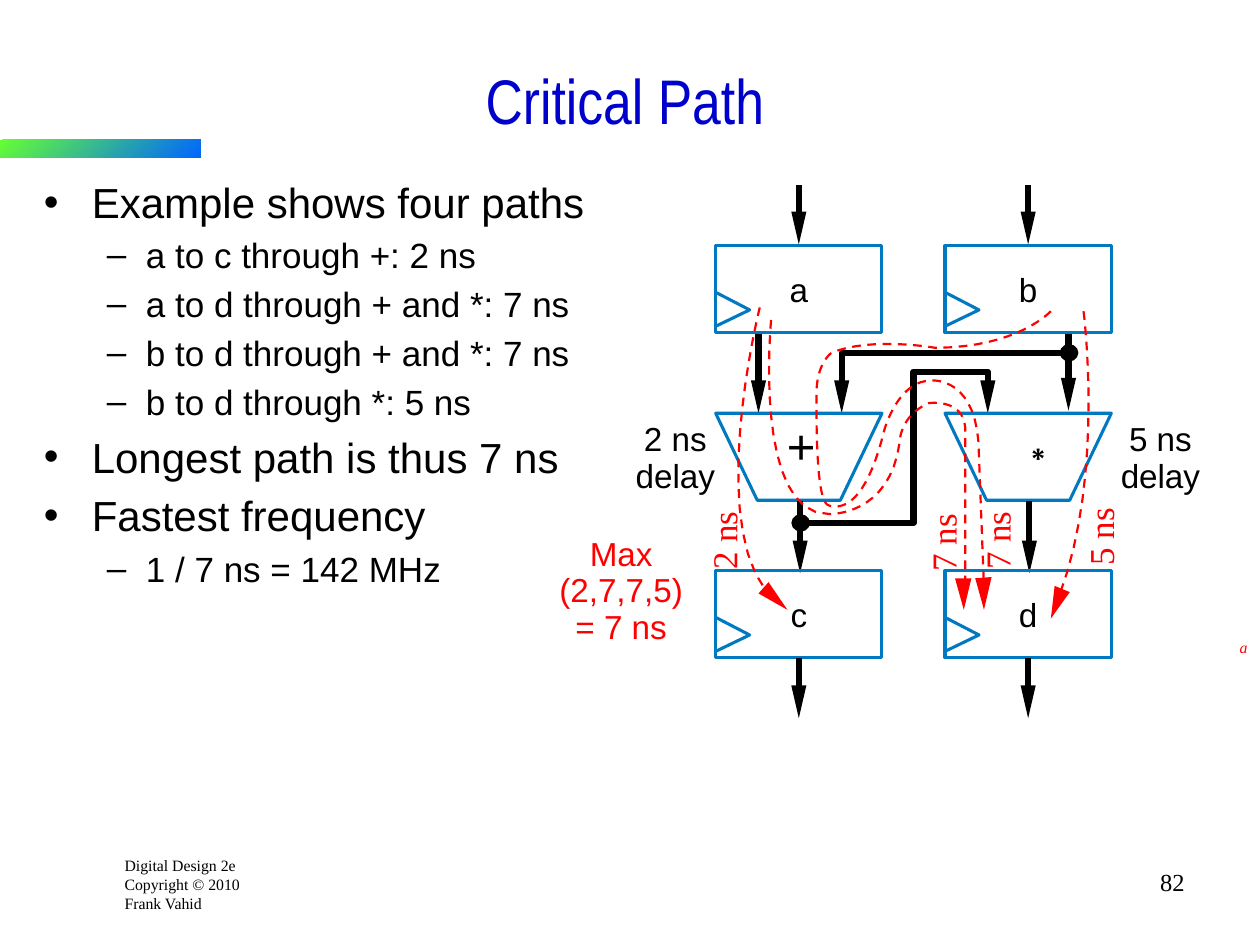
from dataclasses import dataclass

from lxml.etree import SubElement
from pptx import Presentation
from pptx.dml.color import RGBColor
from pptx.enum.dml import MSO_LINE
from pptx.enum.shapes import MSO_CONNECTOR, MSO_SHAPE
from pptx.enum.text import MSO_ANCHOR, PP_ALIGN
from pptx.oxml.ns import qn
from pptx.slide import Slide
from pptx.util import Inches, Pt


def rgb(value):
    """Turn a hex string into a colour."""
    return RGBColor.from_string(value)


def write(paragraph, text, size=19, color="000000", font="Arial", align=PP_ALIGN.LEFT, italic=None):
    """Add formatted text to a paragraph."""
    paragraph.alignment = align
    paragraph.font.size = Pt(size)
    run = paragraph.add_run()
    run.text = text
    run.font.size = Pt(size)
    run.font.name = font
    run.font.italic = italic
    run.font.color.rgb = rgb(color)


def bezier(start, curves, steps=16):
    """Sample a chain of cubic curves as points."""
    points = [start]
    for c1, c2, end in curves:
        first = points[-1]
        for t in (i / steps for i in range(1, steps + 1)):
            u = 1 - t
            weights = (u**3, 3 * u * u * t, 3 * u * t * t, t**3)
            points.append(tuple(sum(w * p[axis] for w, p in zip(weights, (first, c1, c2, end)))
                                for axis in (0, 1)))
    return points


@dataclass
class Diagram:
    """Draw the parts of a datapath on one slide."""

    slide: Slide
    ink: str = "000000"
    outline: str = "0079C1"
    accent: str = "FF0000"
    serif: str = "Times New Roman"
    width: float = 1.32
    height: float = 0.69

    def paint(self, shape, fill=None, line=None, weight=1.75):
        """Set the fill and line of a shape."""
        shape.shadow.inherit = False
        if fill:
            shape.fill.solid()
            shape.fill.fore_color.rgb = rgb(fill)
        else:
            shape.fill.background()
        if line:
            shape.line.color.rgb = rgb(line)
            shape.line.width = Pt(weight)
        else:
            shape.line.fill.background()
        return shape

    def box(self, x, y, w, h, lines, wrap=True, inset=True, rotation=0,
            anchor=MSO_ANCHOR.TOP, **style):
        """Add a text box with one paragraph for each line."""
        shape = self.slide.shapes.add_textbox(Inches(x), Inches(y), Inches(w), Inches(h))
        shape.rotation = rotation
        frame = shape.text_frame
        frame.word_wrap = wrap
        frame.vertical_anchor = anchor
        if not inset:
            frame.margin_left = frame.margin_right = frame.margin_top = frame.margin_bottom = 0
        for i, line in enumerate(lines):
            write(frame.add_paragraph() if i else frame.paragraphs[0], line, **style)

    def label(self, text, center, y, w=0.5, h=0.32, **style):
        """Add a line of text centred on a point."""
        self.box(center - w / 2, y, w, h, [text], wrap=False, inset=False,
                 align=PP_ALIGN.CENTER, **style)

    def outline_list(self, x, y, w, h, items):
        """Add a two-level bulleted list."""
        frame = self.slide.shapes.add_textbox(Inches(x), Inches(y), Inches(w), Inches(h)).text_frame
        frame.word_wrap = True
        frame.margin_top = Inches(0.07)
        for i, (level, text) in enumerate(items):
            paragraph = frame.add_paragraph() if i else frame.paragraphs[0]
            bullet, margin, hang, size = (("•", 0.38, 0.38, 24), ("–", 0.81, 0.31, 20))[level]
            paragraph.level = level
            properties = paragraph._p.get_or_add_pPr()
            properties.set("marL", str(Inches(margin)))
            properties.set("indent", str(-Inches(hang)))
            SubElement(properties, qn("a:buFont")).set("typeface", "Arial")
            SubElement(properties, qn("a:buChar")).set("char", bullet)
            paragraph.space_before = Pt(size * 0.2 if i else 0)
            write(paragraph, text, size=size)

    def freeform(self, points, close=False, **look):
        """Add an outline through points."""
        start, *rest = [(Inches(x), Inches(y)) for x, y in points]
        builder = self.slide.shapes.build_freeform(*start)
        builder.add_line_segments(rest, close=close)
        return self.paint(builder.convert_to_shape(), **look)

    def arrow(self, *points, source=None):
        """Add a thick wire that ends in a downward arrowhead."""
        x, tip = points[-1]
        wire = [*points[:-1], (x, tip - 0.22)]
        if len(wire) == 2:
            ends = [Inches(v) for point in wire for v in point]
            line = self.slide.shapes.add_connector(MSO_CONNECTOR.STRAIGHT, *ends)
            line.line.color.rgb = rgb(self.ink)
            line.line.width = Pt(3.5)
            SubElement(line._element.spPr, qn("a:effectLst"))
            if source:
                line.begin_connect(source, 2)
        else:
            self.freeform(wire, line=self.ink, weight=3.5)
        self.freeform([(x, tip), (x + 0.06, tip - 0.26), (x - 0.06, tip - 0.26)],
                      close=True, fill=self.ink)

    def junction(self, x, y):
        """Add a dot where wires meet."""
        dot = self.slide.shapes.add_shape(MSO_SHAPE.OVAL, Inches(x - 0.06), Inches(y - 0.06),
                                          Inches(0.13), Inches(0.12))
        self.paint(dot, fill=self.ink, line=self.ink, weight=1.25)

    def register(self, x, y, name):
        """Add a register with its clock input and name."""
        self.freeform([(x, y + 0.64), (x + 0.27, y + 0.51), (x, y + 0.37)], line=self.outline)
        body = self.slide.shapes.add_shape(MSO_SHAPE.RECTANGLE, Inches(x), Inches(y),
                                           Inches(self.width), Inches(self.height))
        self.label(name, x + self.width / 2, y + 0.19, w=0.15)
        return self.paint(body, line=self.outline)

    def operator(self, x, y):
        """Add the trapezoid of an operator."""
        right, slant = x + self.width, self.width / 4
        self.freeform([(x, y), (right, y), (right - slant, y + self.height),
                       (x + slant, y + self.height)], close=True, line=self.outline)

    def delay_path(self, start, curves, head, delay, corner):
        """Add a dashed path with its arrowhead and delay."""
        route = self.freeform(bezier(start, curves), line=self.accent, weight=1.25)
        route.line.dash_style = MSO_LINE.DASH
        self.freeform(head, close=True, fill=self.accent)
        self.box(*corner, 0.66, 0.43, [delay], wrap=False, rotation=270, size=20,
                 color=self.accent, font=self.serif)


def main():
    """Build the slide and save it."""
    deck = Presentation()
    deck.slide_width, deck.slide_height = Inches(10), Inches(7.5)
    d = Diagram(deck.slides.add_slide(deck.slide_layouts[6]))

    d.box(0.89, 6.74, 1.12, 0.55, ["Digital Design 2e", "Copyright © 2010", "Frank Vahid"],
          size=9, font=d.serif)
    band = d.slide.shapes.add_shape(MSO_SHAPE.RECTANGLE, 0, Inches(1.11), Inches(1.59), Inches(0.14))
    d.paint(band)
    band.fill.gradient()
    band.fill.gradient_angle = 315
    for stop, position, color in zip(band.fill.gradient_stops, (0, 1), ("66FF33", "0066FF")):
        stop.position = position
        stop.color.rgb = rgb(color)
    d.box(7.42, 6.83, 2.08, 0.5, ["82"], size=14, font=d.serif, align=PP_ALIGN.RIGHT)
    d.box(0.25, 0.33, 9.42, 0.92, ["Critical Path"], anchor=MSO_ANCHOR.MIDDLE, size=36,
          color="0000CC", font="Arial Narrow", align=PP_ALIGN.CENTER)
    d.outline_list(0.25, 1.33, 4.58, 5.33, [
        (0, "Example shows four paths"),
        (1, "a to c through +: 2 ns"),
        (1, "a to d through + and *: 7 ns"),
        (1, "b to d through + and *: 7 ns"),
        (1, "b to d through *: 5 ns"),
        (0, "Longest path is thus 7 ns"),
        (0, "Fastest frequency"),
        (1, "1 / 7 ns = 142 MHz")])
    d.box(9.74, 5.01, 0.26, 0.25, ["a"], wrap=False, size=9, color=d.accent, font=d.serif, italic=True)

    d.arrow((6.35, 4.15), (7.25, 4.15), (7.25, 2.95), (7.84, 2.95), (7.84, 3.28))
    d.arrow((8.48, 2.8), (6.68, 2.8), (6.68, 3.28))
    d.arrow((6.02, 2.65), (6.02, 3.28))
    d.arrow((8.48, 2.64), (8.48, 3.26))
    for x, source, target in ((5.68, "a", "c"), (7.5, "b", "d")):
        center = x + d.width / 2
        d.arrow((center, 1.47), (center, 1.94))
        d.register(x, 1.95, source)
        d.operator(x, 3.28)
        d.arrow((center + 0.01, 3.98), (center + 0.01, 4.55))
        output = d.register(x, 4.53, target)
        d.arrow((center, 5.22), (center, 5.7), source=output)
    d.junction(6.35, 4.15)
    d.junction(8.48, 2.8)
    d.label("+", 6.35, 3.3, w=0.21, h=0.47, size=28)
    d.box(8.08, 3.37, 0.16, 0.38, ["∗"], wrap=False, inset=False, size=23)
    for center, delay in ((5.36, "2 ns"), (9.21, "5 ns")):
        d.label(delay, center, 3.32, w=0.8)
        d.label("delay", center, 3.61, w=0.8)
    for row, text in enumerate(("Max", "(2,7,7,5)", "= 7 ns")):
        d.label(text, 4.93, 4.23 + 0.29 * row, w=1.1, color=d.accent)

    d.delay_path((6.03, 2.44), [((6.03, 2.44), (5.56, 4.31), (6.18, 4.79))],
                 [(6.25, 4.84), (6.1, 4.62), (6.02, 4.71)], "2 ns", (5.41, 4.07))
    d.delay_path((8.6, 2.47), [((8.6, 2.47), (8.77, 3.76), (8.41, 4.72))],
                 [(8.34, 4.91), (8.49, 4.7), (8.37, 4.65)], "5 ns", (8.4, 4.04))
    d.delay_path((8.34, 2.47), [
        ((8.34, 2.47), (8.08, 2.76), (7.42, 2.76)), ((7.42, 2.76), (6.91, 2.67), (6.6, 2.8)),
        ((6.6, 2.8), (6.48, 2.88), (6.48, 3.13)), ((6.48, 3.38), (6.48, 3.92), (6.56, 4)),
        ((6.56, 4), (6.58, 4.02), (6.63, 4.02)), ((6.73, 4.02), (6.89, 3.94), (7.02, 3.41)),
        ((7.02, 3.41), (7.13, 3.01), (7.4, 3.02)), ((7.4, 3.02), (7.77, 2.99), (7.77, 3.61)),
        ((7.81, 4.66), (7.81, 4.66), (7.81, 4.66))],
        [(7.81, 4.84), (7.87, 4.58), (7.74, 4.59)], "7 ns", (7.58, 4.07))
    d.delay_path((6.12, 2.54), [
        ((6.12, 2.54), (5.97, 4.09), (6.58, 4.08)), ((6.58, 4.08), (7.06, 4.1), (7.14, 3.51)),
        ((7.14, 3.51), (7.14, 3.3), (7.37, 3.2)), ((7.37, 3.2), (7.64, 3.16), (7.66, 3.39)),
        ((7.66, 4.7), (7.66, 4.7), (7.66, 4.7))],
        [(7.65, 4.84), (7.71, 4.59), (7.58, 4.59)], "7 ns", (7.15, 4.09))
    deck.save("out.pptx")


if __name__ == "__main__":
    main()
